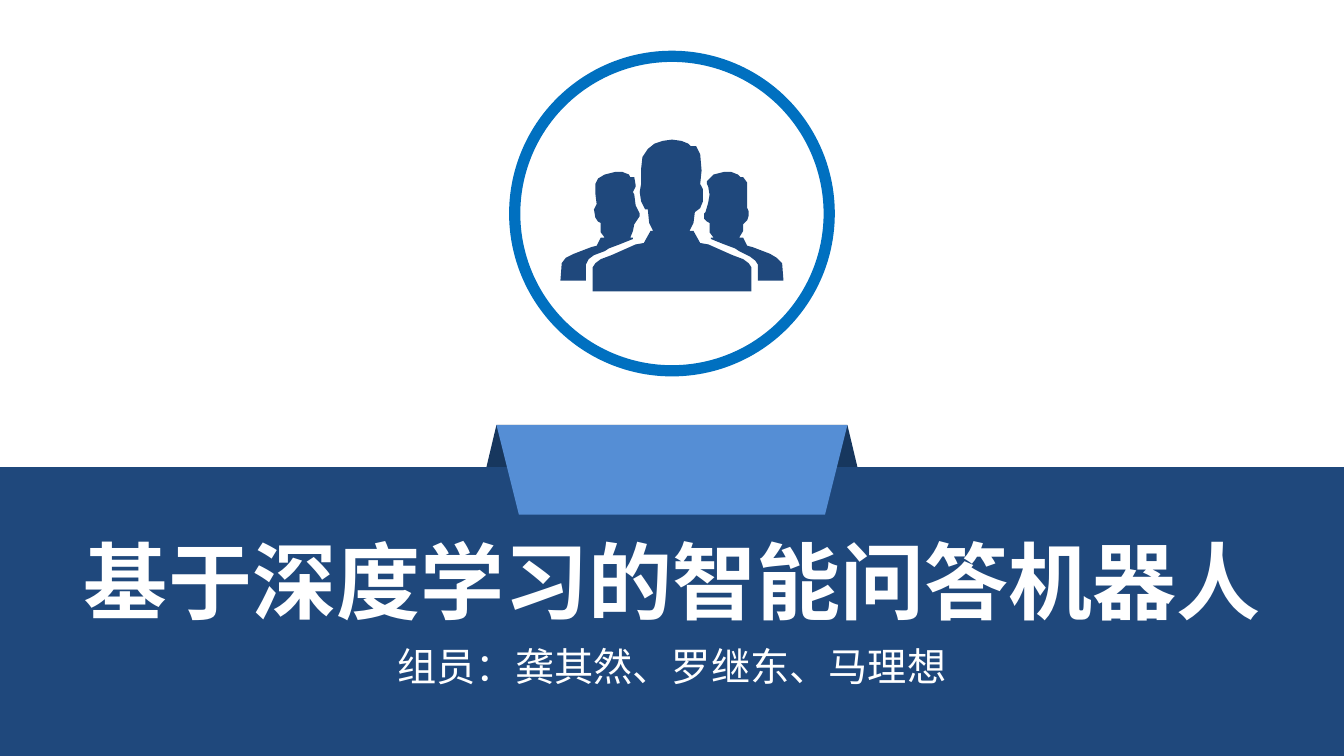
from dataclasses import dataclass

from lxml.etree import SubElement
from pptx import Presentation
from pptx.dml.color import RGBColor
from pptx.enum.shapes import MSO_SHAPE
from pptx.enum.text import MSO_ANCHOR, MSO_AUTO_SIZE, PP_ALIGN
from pptx.oxml.ns import qn
from pptx.util import Pt


@dataclass(frozen=True)
class Theme:
    """Colours, fonts and type sizes of the cover."""
    navy: RGBColor = RGBColor(0x1F, 0x48, 0x7C)
    fold: RGBColor = RGBColor(0x17, 0x37, 0x5E)
    ribbon: RGBColor = RGBColor(0x55, 0x8E, 0xD5)
    ring: RGBColor = RGBColor(0x00, 0x70, 0xC0)
    white: RGBColor = RGBColor(0xFF, 0xFF, 0xFF)
    latin: str = "Calibri"
    chinese: str = "Noto Sans CJK SC"
    title_size: int = 45
    members_size: int = 21


THEME = Theme()
SLIDE_WIDTH, SLIDE_HEIGHT = 720, 405
TEAM_UNIT = 0.72

LEFT_MEMBER = [
    (54, 39), (56, 35), (56, 34), (55, 28), (52, 28), (51, 26), (46, 24), (41, 24),
    (33, 26), (28, 29), (26, 33), (26, 40), (27, 48), (25, 52), (26, 58), (28, 61),
    (30, 62), (30, 69), (33, 73), (30, 73), (27, 79), (23, 80), (10, 85), (4, 88),
    (1, 92), (0, 105), (19, 105), (19, 93), (21, 89), (25, 86), (33, 83), (36, 81),
    (44, 78), (54, 74), (54, 73), (52, 73), (54, 68), (55, 63), (57, 60), (59, 57),
    (59, 55), (56, 49), (55, 41),
]
RIGHT_MEMBER = [
    (165, 92), (161, 88), (156, 85), (143, 80), (139, 79), (136, 73), (133, 73),
    (136, 68), (136, 63), (139, 60), (140, 57), (140, 53), (139, 51), (139, 48),
    (139, 32), (136, 28), (134, 28), (132, 26), (127, 24), (122, 24), (114, 26),
    (109, 31), (109, 33), (110, 35), (111, 41), (110, 47), (108, 54), (107, 55),
    (107, 59), (109, 61), (111, 62), (111, 69), (114, 73), (112, 73), (112, 74),
    (122, 78), (130, 81), (133, 83), (141, 87), (145, 90), (147, 93), (147, 105),
    (166, 105),
]
LEADER = [
    (104, 11), (105, 23), (104, 33), (106, 37), (106, 46), (104, 51), (100, 54),
    (99, 62), (96, 68), (99, 68), (104, 77), (110, 78), (128, 86), (136, 89),
    (140, 92), (142, 95), (142, 113), (24, 113), (24, 95), (26, 92), (30, 89),
    (38, 86), (56, 78), (62, 77), (67, 68), (69, 68), (66, 62), (65, 52), (63, 52),
    (60, 46), (59, 39), (60, 33), (60, 22), (61, 13), (65, 7), (70, 3), (76, 1),
    (83, 0), (90, 1), (95, 3), (97, 5), (101, 5),
]


def fill_plain(part, colour):
    """Give a shape a flat fill without outline or shadow."""
    part.shadow.inherit = False
    part.fill.solid()
    part.fill.fore_color.rgb = colour
    part.line.fill.background()


def add_outline(shapes, left, top, contours, colour, unit=1):
    """Draw closed contours, in units of the given points, from a corner."""
    first, *others = contours
    builder = shapes.build_freeform(*first[0], scale=Pt(unit))
    builder.add_line_segments(first[1:], close=True)
    for contour in others:
        builder.move_to(*contour[0])
        builder.add_line_segments(contour[1:], close=True)
    fill_plain(builder.convert_to_shape(Pt(left), Pt(top)), colour)


def add_emblem(shapes, left, top, size):
    """Draw the team inside its ring."""
    team_left, team_top = left + 24.5, top + 44.6
    add_outline(shapes, team_left, team_top, [LEFT_MEMBER, RIGHT_MEMBER],
                THEME.navy, TEAM_UNIT)
    add_outline(shapes, team_left, team_top, [LEADER], THEME.navy, TEAM_UNIT)
    ring = shapes.add_shape(MSO_SHAPE.OVAL, Pt(left), Pt(top), Pt(size), Pt(size))
    ring.shadow.inherit = False
    ring.fill.background()
    ring.line.color.rgb = THEME.ring
    ring.line.width = Pt(6)


def add_banner(shapes, left, top, width, height):
    """Draw the band with the ribbon folded over its upper edge."""
    ribbon_width, ribbon_top = 188, top - 22.5
    ribbon_left = left + (width - ribbon_width) / 2
    fold = [(-10, 42), (0.5, 0), (ribbon_width - 0.5, 0), (ribbon_width + 10, 42)]
    front = [(0, 0), (12, 48.5), (ribbon_width - 12, 48.5), (ribbon_width, 0)]
    add_outline(shapes, ribbon_left, ribbon_top, [fold], THEME.fold)
    band = shapes.add_shape(MSO_SHAPE.RECTANGLE, Pt(left), Pt(top), Pt(width), Pt(height))
    fill_plain(band, THEME.navy)
    add_outline(shapes, ribbon_left, ribbon_top, [front], THEME.ribbon)


def add_caption(shapes, left, top, width, height, wording, size, latin, bold=False):
    """Place one centred white line of text in the box."""
    caption = shapes.add_textbox(Pt(left), Pt(top), Pt(width), Pt(height))
    frame = caption.text_frame
    frame.word_wrap = False
    frame.auto_size = MSO_AUTO_SIZE.SHAPE_TO_FIT_TEXT
    frame.vertical_anchor = MSO_ANCHOR.TOP
    frame.margin_left = frame.margin_right = Pt(3.6)
    frame.margin_top = frame.margin_bottom = Pt(3.6)
    frame.text = wording
    paragraph = frame.paragraphs[0]
    paragraph.alignment = PP_ALIGN.CENTER
    font = paragraph.runs[0].font
    font.size, font.bold, font.name = Pt(size), bold, latin
    font.color.rgb = THEME.white
    properties = paragraph.runs[0]._r.get_or_add_rPr()
    SubElement(properties, qn("a:ea"), typeface=THEME.chinese)


def add_headings(shapes, left, top, width):
    """Place the title and the members below it, both centred in the width."""
    title_width, members_width = 638, 302
    add_caption(shapes, left + (width - title_width) / 2, top, title_width, 70,
                "基于深度学习的智能问答机器人", THEME.title_size, THEME.latin, bold=True)
    add_caption(shapes, left + (width - members_width) / 2, top + 60.5, members_width, 36,
                "组员：龚其然、罗继东、马理想", THEME.members_size, THEME.chinese)


def build_cover(presentation):
    """Add the cover slide."""
    shapes = presentation.slides.add_slide(presentation.slide_layouts[6]).shapes
    band_top, ring_size = 250.2, 168.5
    add_banner(shapes, 0, band_top, SLIDE_WIDTH, SLIDE_HEIGHT - band_top)
    add_emblem(shapes, (SLIDE_WIDTH - ring_size) / 2, 30.2, ring_size)
    add_headings(shapes, 0, 280, SLIDE_WIDTH)


def main():
    """Build and save the presentation."""
    presentation = Presentation()
    presentation.slide_width, presentation.slide_height = Pt(SLIDE_WIDTH), Pt(SLIDE_HEIGHT)
    build_cover(presentation)
    presentation.save("out.pptx")


if __name__ == "__main__":
    main()
